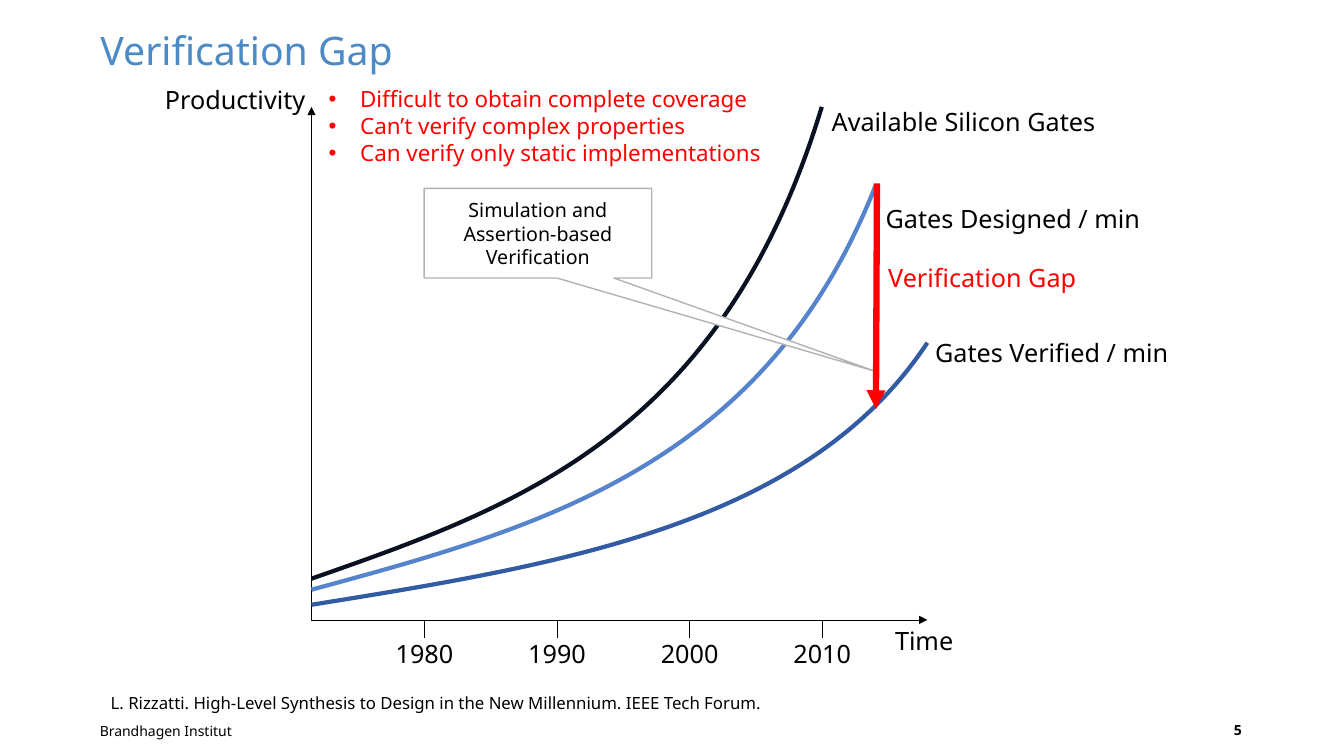
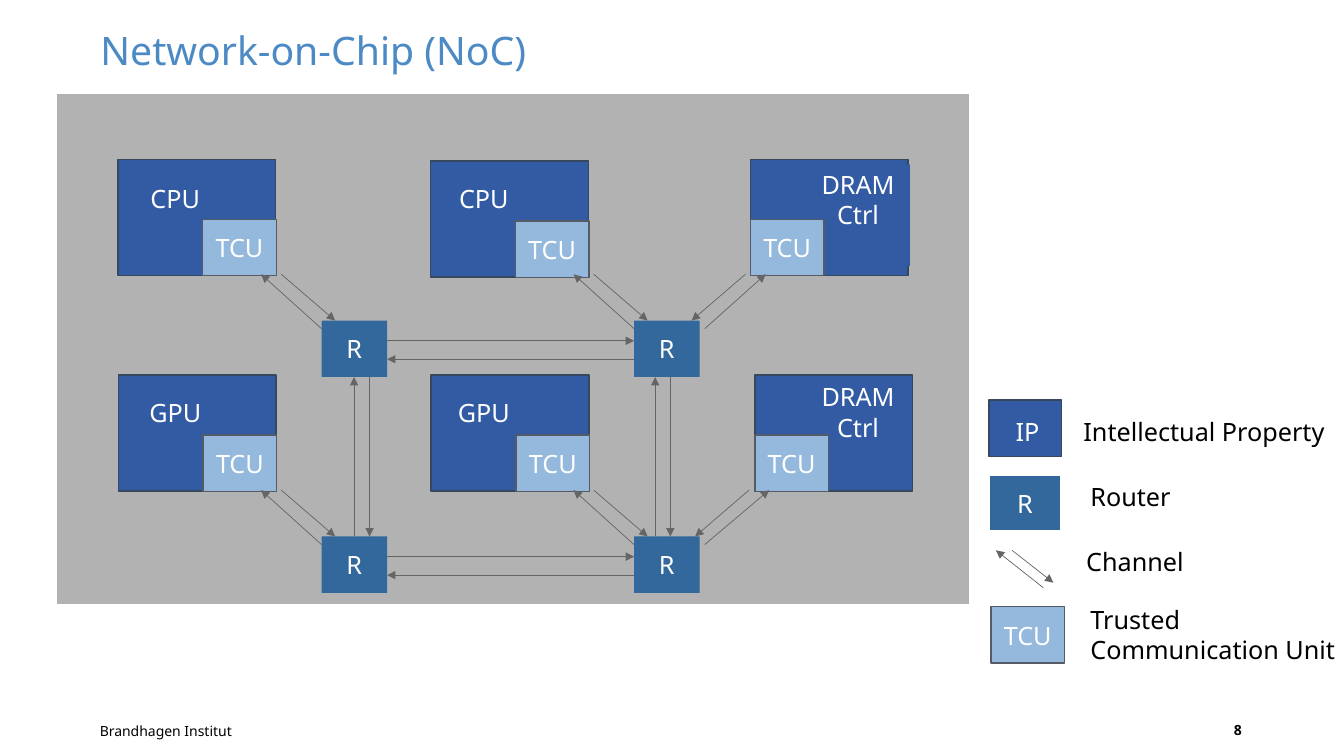
from lxml import etree
from pptx import Presentation
from pptx.dml.color import RGBColor
from pptx.enum import shapes, text
from pptx.oxml import ns
from pptx.util import Pt

FONT = "Noto Sans"
WHITE = RGBColor(0xFF, 0xFF, 0xFF)
BLACK = RGBColor(0, 0, 0)
RED = RGBColor(0xFF, 0, 0)
TITLE_BLUE = RGBColor(0x4C, 0x8A, 0xC6)
NAVY = RGBColor(0x0A, 0x12, 0x21)
SKY = RGBColor(0x55, 0x83, 0xCC)
BLUE = RGBColor(0x32, 0x5B, 0xA4)
ROUTER_BLUE = RGBColor(0x32, 0x68, 0x9C)
TCU_BLUE = RGBColor(0x94, 0xB9, 0xDD)
TILE_EDGE = RGBColor(0x35, 0x48, 0x5E)
TCU_EDGE = RGBColor(0x54, 0x5B, 0x67)
GRAY = RGBColor(0xB2, 0xB2, 0xB2)
CHANNEL_GRAY = RGBColor(0x65, 0x65, 0x65)

LEFT, CENTER, RIGHT = text.PP_ALIGN.LEFT, text.PP_ALIGN.CENTER, text.PP_ALIGN.RIGHT
TOP, MIDDLE, BOTTOM = text.MSO_ANCHOR.TOP, text.MSO_ANCHOR.MIDDLE, text.MSO_ANCHOR.BOTTOM

AXIS_X, AXIS_Y = 222.5, 442.8
TILE_W, TILE_H = 112.7, 82.8
TCU_W, UNIT_H = 52.6, 40.3
ROUTER_W = 46.8
ROUTER_COLS, ROUTER_ROWS = (229.7, 452.9), (229, 383.2)


def write(shape, words, size=18, color=BLACK, bold=False, align=LEFT, anchor=TOP,
          spacing=None, bullet_indent=0, insets=(7.2, 3.6, 7.2, 3.6)):
    frame = shape.text_frame
    frame.word_wrap = True
    frame.vertical_anchor = anchor
    frame.margin_left, frame.margin_top, frame.margin_right, frame.margin_bottom = map(Pt, insets)
    for number, line_words in enumerate(words.split("\n")):
        paragraph = frame.add_paragraph() if number else frame.paragraphs[0]
        paragraph.alignment = align
        if spacing:
            paragraph.line_spacing = spacing
        if bullet_indent:
            properties = paragraph._p.get_or_add_pPr()
            properties.set("marL", str(Pt(bullet_indent)))
            properties.set("indent", str(-Pt(bullet_indent)))
            etree.SubElement(properties, ns.qn("a:buFont"), typeface="Arial")
            etree.SubElement(properties, ns.qn("a:buChar"), char="•")
        run = paragraph.add_run()
        run.text = line_words
        run.font.name, run.font.size, run.font.bold = FONT, Pt(size), bold
        run.font.color.rgb = color


def label(slide, words, x, y, width=203, height=28.8, **style):
    write(slide.shapes.add_textbox(Pt(x), Pt(y), Pt(width), Pt(height)), words, **style)


def box(slide, x, y, width, height, fill, edge=None, weight=1, words="",
        preset=shapes.MSO_SHAPE.RECTANGLE, **style):
    shape = slide.shapes.add_shape(preset, Pt(x), Pt(y), Pt(width), Pt(height))
    shape.shadow.inherit = False
    shape.fill.solid()
    shape.fill.fore_color.rgb = fill
    if edge is None:
        shape.line.fill.background()
    else:
        shape.line.color.rgb = edge
        shape.line.width = Pt(weight)
    if words:
        write(shape, words, **{"color": WHITE, "align": CENTER, "anchor": MIDDLE, **style})
    return shape


def line(slide, start, end, color=BLACK, weight=0.5, arrow=True):
    connector = slide.shapes.add_connector(
        shapes.MSO_CONNECTOR.STRAIGHT, *map(Pt, (*start, *end)))
    connector.line.color.rgb = color
    connector.line.width = Pt(weight)
    if arrow:
        etree.SubElement(connector.line._get_or_add_ln(), ns.qn("a:tailEnd"), type="triangle")
    etree.SubElement(connector._element.spPr, ns.qn("a:effectLst"))


def growth_curve(slide, start_y, end_x, end_y, color):
    bend = AXIS_X + 0.805 * (end_x - AXIS_X), start_y + 0.304 * (end_y - start_y)
    middle = (AXIS_X + bend[0]) / 2, (start_y + bend[1]) / 2
    builder = slide.shapes.build_freeform(Pt(AXIS_X), Pt(start_y))
    builder.add_line_segments(
        [(Pt(x), Pt(y)) for x, y in (middle, bend, (end_x, end_y))], close=False)
    curve = builder.convert_to_shape()
    segments = list(curve._element.iter(ns.qn("a:lnTo")))
    bezier = etree.SubElement(segments[0].getparent(), ns.qn("a:cubicBezTo"))
    for segment in segments:
        bezier.append(segment[0])
        segment.getparent().remove(segment)
    curve.shadow.inherit = False
    curve.fill.background()
    curve.line.color.rgb = color
    curve.line.width = Pt(3)


def new_slide(deck, title, number):
    slide = deck.slides.add_slide(deck.slide_layouts[6])
    label(slide, title, 71.8, 18.7, 777.6, 34, size=28, color=TITLE_BLUE, anchor=BOTTOM,
          spacing=0.9, insets=(0, 0, 7.2, 0))
    label(slide, "Brandhagen Institut", 71.3, 513.4, 126.7, 14.4, size=10, anchor=BOTTOM,
          insets=(0, 0, 0, 0))
    label(slide, number, 849.6, 514, 44.6, 16.6, size=10, bold=True, align=RIGHT,
          anchor=BOTTOM, insets=(0, 0, 7.2, 2.9))
    return slide


def verification_gap(deck):
    slide = new_slide(deck, "Verification Gap", "5")
    line(slide, (AXIS_X, AXIS_Y), (AXIS_X, 76.3))
    line(slide, (AXIS_X, AXIS_Y), (662.4, AXIS_Y))
    for start_y, end_x, end_y, color in ((413.3, 587, 76.3, NAVY),
                                         (421.2, 625.7, 131.8, SKY),
                                         (432, 662.4, 244.8, BLUE)):
        growth_curve(slide, start_y, end_x, end_y, color)
    for words, x, y in (("Available Silicon Gates", 587, 72.4),
                        ("Gates Designed / min", 625.5, 141.8),
                        ("Gates Verified / min", 660.8, 237.6),
                        ("Time", 632.2, 442.8),
                        ("Productivity", 110.7, 56.6)):
        label(slide, words, x, y)
    for index, year in enumerate(range(1980, 2011, 10)):
        x = 303.2 + 94.7 * index
        line(slide, (x, AXIS_Y), (x, 455.8), arrow=False)
        label(slide, str(year), x - 32, 452.6, 64, align=CENTER)
    callout = box(slide, 303, 134.6, 162.5, 64, WHITE, GRAY,
                  words="Simulation and Assertion-based Verification",
                  preset=shapes.MSO_SHAPE.RECTANGULAR_CALLOUT, size=14, color=BLACK)
    callout.adjustments[0], callout.adjustments[1] = 1.482, 1.541
    label(slide, "Verification Gap", 627.3, 184, color=RED)
    line(slide, (626.4, 131), (625.7, 292.3), RED, 4.5)
    label(slide, "Difficult to obtain complete coverage\nCan’t verify complex properties\n"
          "Can verify only static implementations", 227.7, 57.6, 480.2, 67.7,
          size=16, color=RED, bullet_indent=22.5)
    label(slide, "L. Rizzatti. High-Level Synthesis to Design in the New Millennium. "
          "IEEE Tech Forum.", 72, 491, 813.6, 21.6, size=12)


def channel(slide, start, end):
    line(slide, start, end, CHANNEL_GRAY)


def tcu(slide, x, y):
    box(slide, x, y, TCU_W, UNIT_H, TCU_BLUE, TCU_EDGE, words="TCU")


def tile(slide, x, y, words, label_x, label_y):
    memory = words.startswith("DRAM")
    label_w, label_h = (74.2, 72.7) if memory else (60.5, 28.8)
    box(slide, x, y, TILE_W, TILE_H, BLUE, TILE_EDGE)
    box(slide, label_x, label_y, label_w, label_h, BLUE, words=words, anchor=TOP)
    tcu(slide, x if memory else x + TILE_W - TCU_W + 0.5, y + TILE_H - UNIT_H + 0.3)


def tile_channels(slide, edge_x, router_y, side, shift=0):
    outer_y = router_y - 33.1
    channel(slide, (edge_x + 28.8 * side + shift, outer_y),
            (edge_x - 9.7 * side + shift, router_y))
    channel(slide, (edge_x, router_y + 5.8), (edge_x + 43.2 * side + shift, outer_y))


def router_mesh(slide):
    left, right = ROUTER_COLS
    top, bottom = ROUTER_ROWS
    for y, shift in zip(ROUTER_ROWS, (0.3, 2.8)):
        for x in ROUTER_COLS:
            box(slide, x, y, ROUTER_W, UNIT_H, ROUTER_BLUE, words="R")
            tile_channels(slide, x, y, -1)
        tile_channels(slide, right + ROUTER_W + 3.7, y, 1, shift)
        channel(slide, (left + ROUTER_W, y + 14.4), (right, y + 14.4))
        channel(slide, (right, y + 27.6), (left + ROUTER_W, y + 27.6))
    for up_x, down_x in ((252.9, 264), (468, 478.8)):
        channel(slide, (up_x, bottom), (up_x, top + UNIT_H))
        channel(slide, (down_x, top + UNIT_H), (down_x, bottom))


def legend(slide):
    box(slide, 706.3, 285.8, 51.8, UNIT_H, BLUE, TILE_EDGE)
    label(slide, "IP", 713.5, 293.8, 41, 26.6, color=WHITE, align=CENTER)
    box(slide, 706.3, 339.1, 51.8, UNIT_H, ROUTER_BLUE, WHITE, 1.5, words="R")
    channel(slide, (722.9, 393.1), (752.4, 416.2))
    channel(slide, (745.2, 419.8), (711.4, 393.1))
    tcu(slide, 707.8, 433.4)
    for words, x, y, height in (("Intellectual Property", 766.8, 293.8, 26.6),
                                ("Router", 771.8, 340.1, 26.6),
                                ("Channel", 768.8, 386.6, 26.6),
                                ("Trusted Communication Unit", 771.8, 428.2, 51.1)):
        label(slide, words, x, y, 193, height)


def network_on_chip(deck):
    slide = new_slide(deck, "Network-on-Chip (NoC)", "8")
    box(slide, 40.3, 66.2, 652.3, 365.8, GRAY, WHITE, 1.5)
    for x, y, words, label_x, label_y in ((84.2, 113.8, "CPU", 95, 127.4),
                                          (307.5, 115, "CPU", 315.4, 127.4),
                                          (536, 113.8, "DRAM Ctrl", 575.8, 117.4),
                                          (84.5, 267.9, "GPU", 95, 280),
                                          (308, 267.9, "GPU", 315.4, 280),
                                          (539.2, 267.9, "DRAM Ctrl", 575.8, 269)):
        tile(slide, x, y, words, label_x, label_y)
    router_mesh(slide)
    legend(slide)


def main():
    deck = Presentation()
    deck.slide_width, deck.slide_height = Pt(960), Pt(540)
    verification_gap(deck)
    network_on_chip(deck)
    deck.save("out.pptx")


if __name__ == "__main__":
    main()
